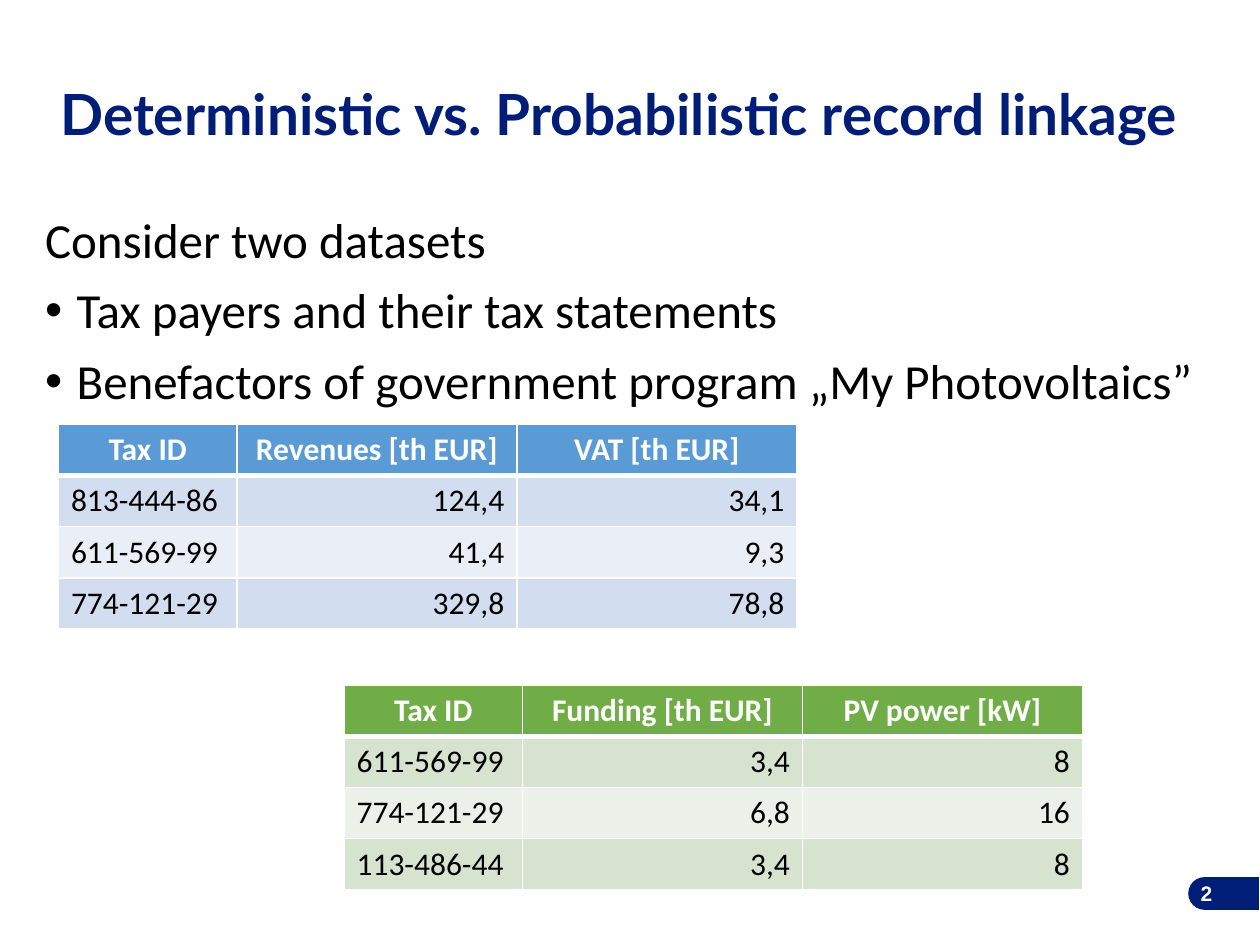
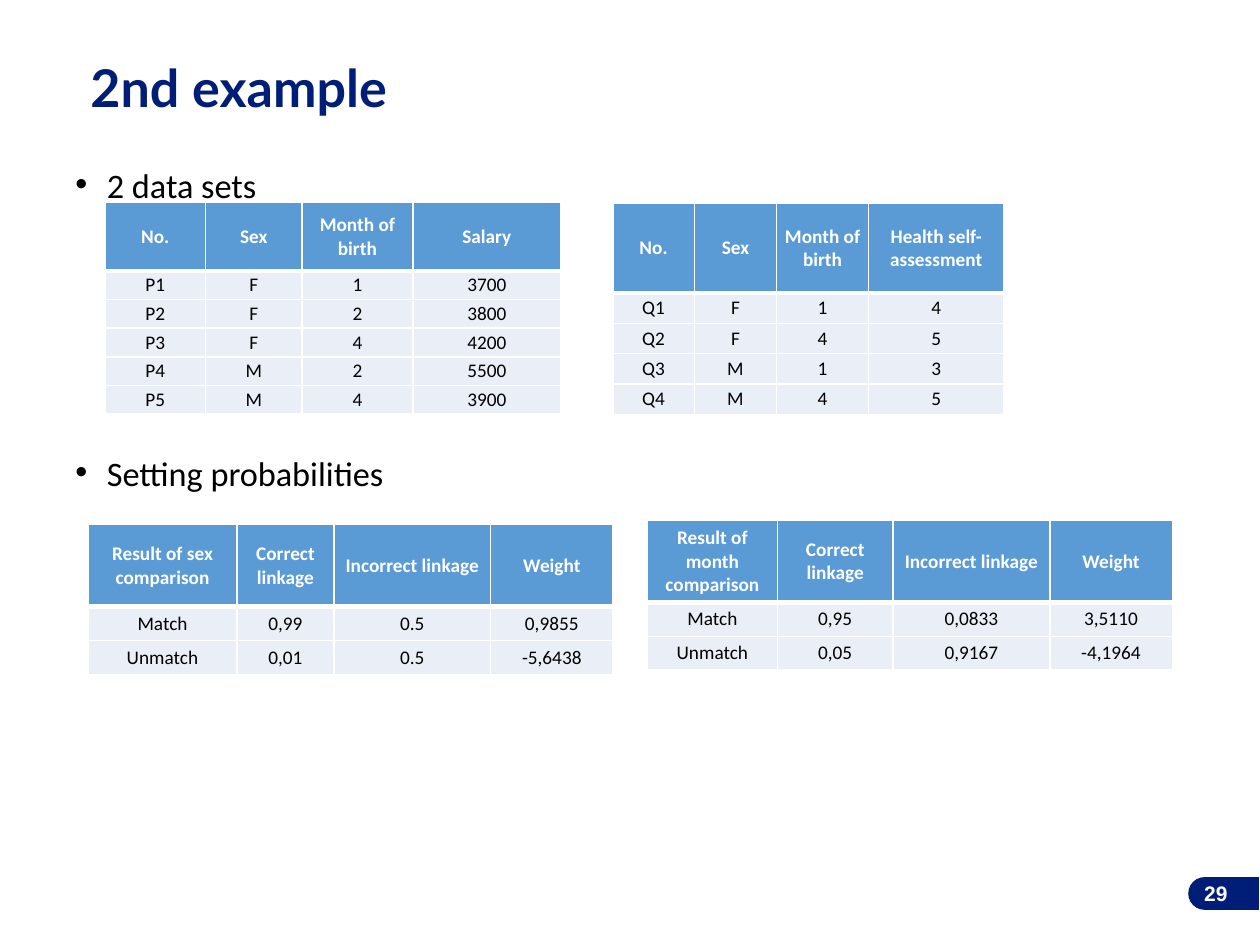
import dataclasses

import lxml.etree
import pptx
import pptx.dml.color
import pptx.enum.shapes
import pptx.enum.text
import pptx.oxml.ns
import pptx.util

Pt = pptx.util.Pt
ALIGN = pptx.enum.text.PP_ALIGN
ANCHOR = pptx.enum.text.MSO_ANCHOR
qn = pptx.oxml.ns.qn


@dataclasses.dataclass(frozen=True)
class Theme:
    navy: str = "001D77"
    white: str = "FFFFFF"
    black: str = "000000"
    blue: str = "5B9BD5"
    blue_band: str = "D2DEEF"
    blue_pale: str = "EAEFF7"
    green: str = "70AD47"
    green_band: str = "D5E3CF"
    green_pale: str = "EBF1E9"
    title_font: str = "Lato"
    body_font: str = "Calibri"
    number_font: str = "Arial"
    number_size: float = 12
    large_table_size: float = 18
    small_table_size: float = 11
    bullet_indent: float = 18


theme = Theme()


def style_font(paragraph, name, size, color, bold=False):
    paragraph.font.name = name
    paragraph.font.size = Pt(size)
    paragraph.font.bold = bold
    paragraph.font.color.rgb = pptx.dml.color.RGBColor.from_string(color)


def add_text_frame(slide, left, top, width, height):
    """Add a wrapping text box and return its text frame."""
    frame = slide.shapes.add_textbox(Pt(left), Pt(top), Pt(width), Pt(height)).text_frame
    frame.word_wrap = True
    return frame


# Table looks: header fill, alternating body fills, type size, cell layout
LARGE = dict(size=theme.large_table_size, anchor=ANCHOR.TOP, margins=(7.2, 3.6),
             first_align=ALIGN.LEFT, other_align=ALIGN.RIGHT)
BLUE_LARGE = dict(LARGE, header=theme.blue, bands=(theme.blue_band, theme.blue_pale))
GREEN_LARGE = dict(LARGE, header=theme.green, bands=(theme.green_band, theme.green_pale))
SMALL = dict(size=theme.small_table_size, anchor=ANCHOR.MIDDLE, margins=(0.72, 0.5),
             first_align=ALIGN.CENTER, other_align=ALIGN.CENTER,
             header=theme.blue, bands=(theme.blue_pale, theme.blue_pale))

# Each table: look, left, top, column widths, header height, row height, rows
tax_statements = (BLUE_LARGE, 33.4, 242.6, (102, 160, 160), 29.2, 29.2, [
    ("Tax ID", "Revenues [th EUR]", "VAT [th EUR]"),
    ("813-444-86", "124,4", "34,1"),
    ("611-569-99", "41,4", "9,3"),
    ("774-121-29", "329,8", "78,8"),
])
photovoltaics_funding = (GREEN_LARGE, 196.6, 391.7, (102, 160, 160), 29.2, 29.2, [
    ("Tax ID", "Funding [th EUR]", "PV power [kW]"),
    ("611-569-99", "3,4", "8"),
    ("774-121-29", "6,8", "16"),
    ("113-486-44", "3,4", "8"),
])
salaries = (SMALL, 60, 115.6, (57.5, 55, 63.5, 84.5), 39.2, 16.4, [
    ("No.", "Sex", "Month of birth", "Salary"),
    ("P1", "F", "1", "3700"),
    ("P2", "F", "2", "3800"),
    ("P3", "F", "4", "4200"),
    ("P4", "M", "2", "5500"),
    ("P5", "M", "4", "3900"),
])
health_assessments = (SMALL, 350.2, 116.4, (46.6, 47, 52.6, 77.4), 51, 17.4, [
    ("No.", "Sex", "Month of birth", "Health self- assessment"),
    ("Q1", "F", "1", "4"),
    ("Q2", "F", "4", "5"),
    ("Q3", "M", "1", "3"),
    ("Q4", "M", "4", "5"),
])
sex_weights = (SMALL, 50.4, 299.8, (85, 55.5, 89.5, 70), 46.8, 19.4, [
    ("Result of sex comparison", "Correct linkage", "Incorrect linkage", "Weight"),
    ("Match", "0,99", "0.5", "0,9855"),
    ("Unmatch", "0,01", "0.5", "-5,6438"),
])
month_weights = (SMALL, 370, 297.4, (74.2, 66.2, 89.5, 70), 46.8, 19.4, [
    ("Result of month comparison", "Correct linkage", "Incorrect linkage", "Weight"),
    ("Match", "0,95", "0,0833", "3,5110"),
    ("Unmatch", "0,05", "0,9167", "-4,1964"),
])

# Body lines: text, bulleted, space before
slides = [
    dict(title="Deterministic vs. Probabilistic record linkage",
         title_box=(27.4, 45.2, 674, 42), title_size=32.4,
         body_box=(18.7, 119.9, 674, 129), body_size=28, line_spacing=0.9,
         body=[("Consider two datasets", False, 10),
               ("Tax payers and their tax statements", True, 10),
               ("Benefactors of government program „My Photovoltaics”", True, 10)],
         number="2", number_left=537.8,
         tables=[tax_statements, photovoltaics_funding]),
    dict(title="2nd example",
         title_box=(44.6, 31.7, 508, 38), title_size=29.7,
         body_box=(36, 96.5, 538, 188), body_size=19.6, line_spacing=0.7,
         body=[("2 data sets", True, 10), ("Setting probabilities", True, 148.5)],
         number="29", number_left=546.5,
         tables=[salaries, health_assessments, sex_weights, month_weights]),
]

presentation = pptx.Presentation()
presentation.slide_width = Pt(720)
presentation.slide_height = Pt(540)

for content in slides:
    slide = presentation.slides.add_slide(presentation.slide_layouts[6])

    title_frame = add_text_frame(slide, *content["title_box"])
    title_frame.margin_top = title_frame.margin_bottom = 0
    title = title_frame.paragraphs[0]
    title.text = content["title"]
    style_font(title, theme.title_font, content["title_size"], theme.navy, bold=True)

    body_frame = add_text_frame(slide, *content["body_box"])
    for index, (text, bulleted, space_before) in enumerate(content["body"]):
        paragraph = body_frame.add_paragraph() if index else body_frame.paragraphs[0]
        paragraph.text = text
        paragraph.line_spacing = content["line_spacing"]
        paragraph.space_before = Pt(space_before)
        style_font(paragraph, theme.body_font, content["body_size"], theme.black)
        if bulleted:
            properties = paragraph._p.get_or_add_pPr()
            properties.set("marL", str(Pt(theme.bullet_indent)))
            properties.set("indent", str(-Pt(theme.bullet_indent)))
            bullet_font = lxml.etree.Element(qn("a:buFont"), typeface="Arial")
            bullet = lxml.etree.Element(qn("a:buChar"), char="•")
            position = properties.index(properties.find(qn("a:defRPr")))
            properties.insert(position, bullet_font)
            properties.insert(position + 1, bullet)

    # Page number tab: a half-rounded rectangle turned to face left
    tab = slide.shapes.add_shape(pptx.enum.shapes.MSO_SHAPE.ROUND_2_SAME_RECTANGLE,
                                 Pt(689.8), Pt(490.4), Pt(18.7), Pt(40.3))
    tab.rotation = 270
    tab.adjustments[0] = 0.5
    tab.shadow.inherit = False
    tab.fill.solid()
    tab.fill.fore_color.rgb = pptx.dml.color.RGBColor.from_string(theme.navy)
    tab.line.fill.background()

    number_frame = add_text_frame(slide, content["number_left"], 496.1, 162, 28.8)
    number_frame.vertical_anchor = ANCHOR.MIDDLE
    number = number_frame.paragraphs[0]
    number.text = content["number"]
    number.alignment = ALIGN.RIGHT
    style_font(number, theme.number_font, theme.number_size, theme.white, bold=True)

    for look, left, top, widths, header_height, row_height, rows in content["tables"]:
        heights = [header_height] + [row_height] * (len(rows) - 1)
        table = slide.shapes.add_table(len(rows), len(widths), Pt(left), Pt(top),
                                       Pt(sum(widths)), Pt(sum(heights))).table
        table.horz_banding = False
        for column, width in zip(table.columns, widths):
            column.width = Pt(width)
        for row_index, (values, height) in enumerate(zip(rows, heights)):
            table.rows[row_index].height = Pt(height)
            is_header = row_index == 0
            fill = look["header"] if is_header else look["bands"][(row_index - 1) % 2]
            for column_index, value in enumerate(values):
                cell = table.cell(row_index, column_index)
                cell.vertical_anchor = look["anchor"]
                cell.margin_left = cell.margin_right = Pt(look["margins"][0])
                cell.margin_top = cell.margin_bottom = Pt(look["margins"][1])

                # The rule under the header is heavier than the other borders
                cell_properties = cell._tc.get_or_add_tcPr()
                border_widths = dict(lnL=1, lnR=1, lnT=3 if row_index == 1 else 1,
                                     lnB=3 if is_header else 1)
                for side, border_width in border_widths.items():
                    border = lxml.etree.SubElement(cell_properties, qn("a:" + side),
                                                   w=str(Pt(border_width)))
                    border_fill = lxml.etree.SubElement(border, qn("a:solidFill"))
                    lxml.etree.SubElement(border_fill, qn("a:srgbClr"), val=theme.white)
                cell.fill.solid()
                cell.fill.fore_color.rgb = pptx.dml.color.RGBColor.from_string(fill)

                paragraph = cell.text_frame.paragraphs[0]
                paragraph.text = value
                if is_header:
                    paragraph.alignment = ALIGN.CENTER
                else:
                    paragraph.alignment = look["other_align" if column_index else "first_align"]
                style_font(paragraph, theme.body_font, look["size"],
                           theme.white if is_header else theme.black, bold=is_header)

presentation.save("out.pptx")
